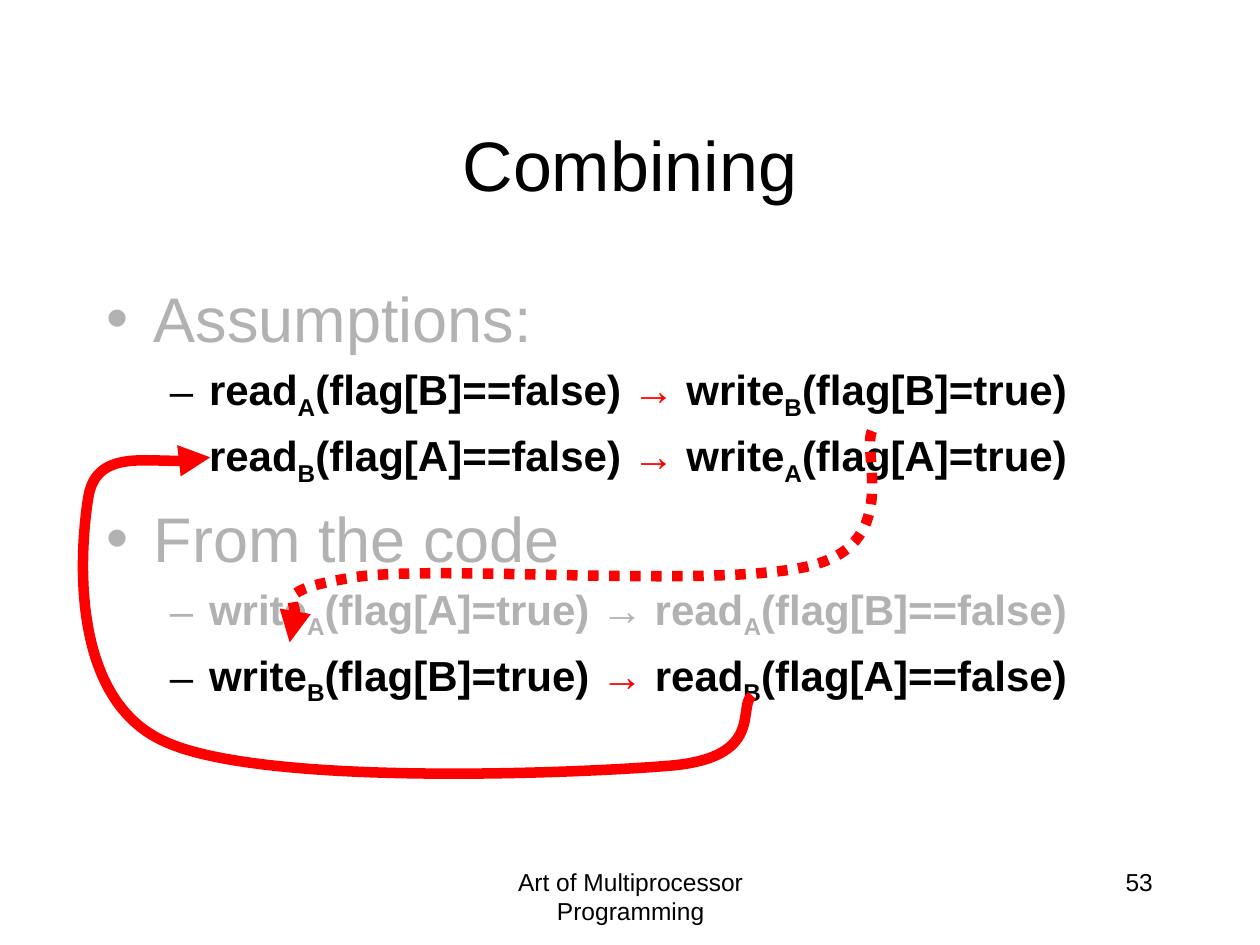
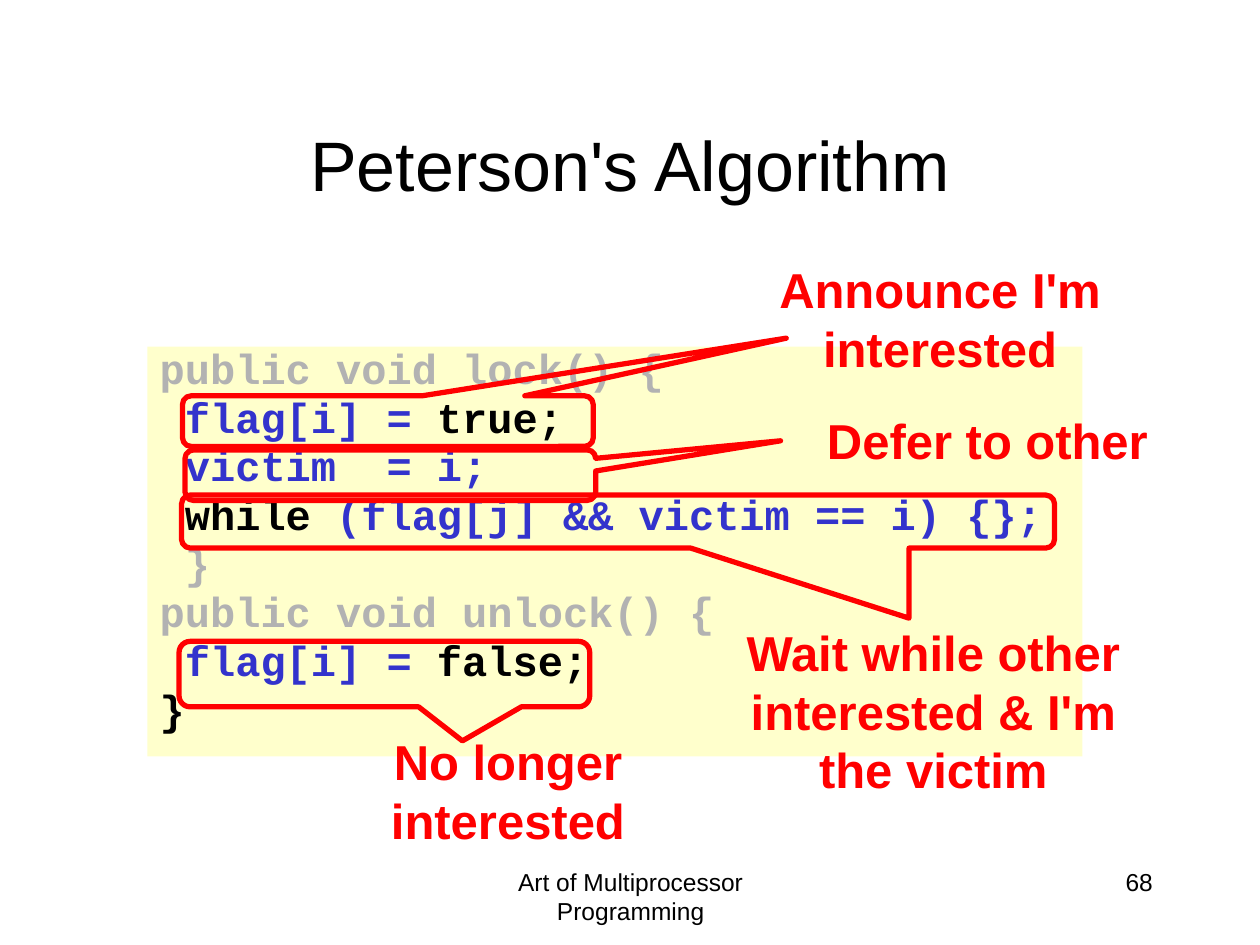
from dataclasses import dataclass
from typing import Any, NamedTuple, Optional

from pptx import Presentation
from pptx.dml.color import RGBColor
from pptx.enum.dml import MSO_LINE
from pptx.enum.shapes import MSO_SHAPE
from pptx.enum.text import MSO_ANCHOR, MSO_AUTO_SIZE, PP_ALIGN
from pptx.oxml.ns import qn
from pptx.oxml.xmlchemy import OxmlElement
from pptx.util import Cm, Pt

BLACK = RGBColor(0x00, 0x00, 0x00)
GRAY = RGBColor(0xB2, 0xB2, 0xB2)
RED = RGBColor(0xFF, 0x00, 0x00)
BLUE = RGBColor(0x33, 0x33, 0xCC)
CREAM = RGBColor(0xFF, 0xFF, 0xCC)

SANS, MONO = "Arial", "Courier New"
TITLE = {"name": SANS, "size": Pt(40)}
FOOTER = {"name": SANS, "size": Pt(14)}
HEADING = {"name": SANS, "size": Pt(36), "bold": False}
EVENT = {"name": SANS, "size": Pt(24), "bold": True}
LABEL = {"name": SANS, "size": Pt(28), "bold": True}
CODE = {"name": MONO, "size": Pt(24), "bold": True}


class Box(NamedTuple):
    left: float
    top: float
    width: float
    height: float

    def emu(self) -> list:
        return [Cm(v) for v in self]


class Run(NamedTuple):
    text: str
    color: RGBColor = BLACK
    subscript: bool = False


class Event(NamedTuple):
    action: str
    thread: str
    condition: str

    def runs(self, color: RGBColor) -> list[Run]:
        return [Run(self.action, color), Run(self.thread, color, True),
                Run(f"({self.condition})", color)]


class Order(NamedTuple):
    before: Event
    after: Event
    color: RGBColor = BLACK
    arrow: RGBColor = RED

    def runs(self) -> list[Run]:
        return [*self.before.runs(self.color), Run(" → ", self.arrow),
                *self.after.runs(self.color)]


class Bullet(NamedTuple):
    char: str
    margin: float
    indent: float
    before: float
    font: dict


BULLETS = [Bullet("•", 0.95, -0.95, 7.2, HEADING), Bullet("–", 2.06, -0.79, 4.8, EVENT)]


@dataclass
class Curve:
    points: list[tuple[float, float]]
    dash: Optional[MSO_LINE] = None


@dataclass
class Callout:
    box: Box
    tip: tuple[float, float]


@dataclass
class Label:
    text: str
    box: Box


ASSUMPTIONS = [
    Order(Event("read", "A", "flag[B]==false"), Event("write", "B", "flag[B]=true")),
    Order(Event("read", "B", "flag[A]==false"), Event("write", "A", "flag[A]=true")),
]
FROM_CODE = [
    Order(Event("write", "A", "flag[A]=true"), Event("read", "A", "flag[B]==false"), GRAY, GRAY),
    Order(Event("write", "B", "flag[B]=true"), Event("read", "B", "flag[A]==false")),
]
CURVES = [
    Curve([(15.16, 14.02), (14.86, 14.25), (15.44, 15.29), (13.46, 15.44),
           (11.48, 15.6), (5.23, 15.85), (3.3, 14.94),
           (1.35, 14.05), (1.63, 10.97), (1.78, 10.03),
           (1.93, 9.07), (3.73, 9.4), (4.24, 9.22)]),
    Curve([(17.58, 8.69), (17.37, 9.12), (18.16, 10.9), (16.43, 11.38),
           (14.71, 11.89), (8.97, 11.38), (7.19, 11.63),
           (5.44, 11.91), (6.12, 12.67), (5.84, 12.95)], MSO_LINE.ROUND_DOT),
]
CODE_LINES = [
    [Run("public void lock() {", GRAY)],
    [Run(" flag[i] = ", BLUE), Run("true;")],
    [Run(" victim  = i;", BLUE)],
    [Run(" while "), Run("(flag[j] && victim == i) {};", BLUE)],
    [Run(" }", GRAY)],
    [Run("public void unlock() {", GRAY)],
    [Run(" flag[i] = ", BLUE), Run("false;")],
    [Run("}")],
]
CALLOUTS = [
    Callout(Box(3.68, 7.98, 8.28, 1.02), (0.97, -1.64)),
    Callout(Box(3.73, 9.07, 8.28, 1.02), (0.95, -0.68)),
    Callout(Box(3.61, 12.93, 8.28, 1.32), (0.19, 1.02)),
    Callout(Box(3.66, 9.98, 17.6, 1.07), (1 / 3, 1.82)),
]
LABELS = [
    Label("No longer interested", Box(6.48, 14.63, 7.52, 2.62)),
    Label("Announce I'm interested", Box(15.19, 5.11, 7.52, 2.62)),
    Label("Defer to other", Box(15.6, 8.15, 8.61, 1.45)),
    Label("Wait while other interested & I'm the victim", Box(14.05, 12.42, 9.53, 3.81)),
]


def set_all(target: Any, values: dict) -> None:
    for name, value in values.items():
        setattr(target, name, value)


def place(sp: Any, box: Box) -> None:
    set_all(sp, dict(zip(("left", "top", "width", "height"), box.emu())))


def write(p: Any, runs: list[Run], font: dict) -> None:
    for run in runs:
        r = p.add_run()
        r.text = run.text
        set_all(r.font, font)
        r.font.color.rgb = run.color
        if run.subscript:
            r.font._element.set("baseline", "-25000")


def next_paragraph(tf: Any, first: bool, before: float) -> Any:
    p = tf.paragraphs[0] if first else tf.add_paragraph()
    p.space_before = Pt(0 if first else before)
    return p


def set_indent(p: Any, margin: float, indent: float) -> Any:
    pPr = p._p.get_or_add_pPr()
    pPr.set("marL", str(Cm(margin)))
    pPr.set("indent", str(Cm(indent)))
    return pPr


def add_text(slide: Any, box: Box, text: str, font: dict, color: RGBColor, align: PP_ALIGN) -> None:
    tf = slide.shapes.add_textbox(*box.emu()).text_frame
    tf.word_wrap = True
    p = tf.paragraphs[0]
    p.alignment = align
    write(p, [Run(text, color)], font)


def add_slide(prs: Any, layout: int, title: str, number: int) -> Any:
    slide = prs.slides.add_slide(prs.slide_layouts[layout])
    sp = slide.shapes.title
    place(sp, Box(1.9, 1.7, 21.59, 3.18))
    set_all(sp.text_frame, {"vertical_anchor": MSO_ANCHOR.MIDDLE, "auto_size": MSO_AUTO_SIZE.NONE})
    p = sp.text_frame.paragraphs[0]
    p.alignment = PP_ALIGN.CENTER
    write(p, [Run(title)], TITLE)
    add_text(slide, Box(8.69, 17.35, 8.05, 1.27), "Art of Multiprocessor Programming",
             FOOTER, BLACK, PP_ALIGN.CENTER)
    add_text(slide, Box(18.21, 17.35, 5.28, 1.27), str(number), FOOTER, BLACK, PP_ALIGN.RIGHT)
    return slide


def fill_body(slide: Any, items: list[tuple[int, list[Run]]]) -> None:
    sp = slide.placeholders[1]
    place(sp, Box(1.9, 5.51, 21.59, 11.43))
    tf = sp.text_frame
    set_all(tf, {"auto_size": MSO_AUTO_SIZE.NONE, "margin_top": Cm(0.13)})
    for i, (level, runs) in enumerate(items):
        bullet = BULLETS[level]
        p = next_paragraph(tf, i == 0, bullet.before)
        p.level = level
        bu = OxmlElement("a:buChar")
        bu.set("char", bullet.char)
        set_indent(p, bullet.margin, bullet.indent).append(bu)
        write(p, runs, bullet.font)


def add_curve(slide: Any, curve: Curve) -> None:
    points = [(Cm(x), Cm(y)) for x, y in curve.points]
    builder = slide.shapes.build_freeform(*points[0])
    builder.add_line_segments(points[1:], close=False)
    sp = builder.convert_to_shape()
    sp.shadow.inherit = False
    sp.fill.background()
    sp.line.color.rgb = RED
    sp.line.width = Pt(6)
    if curve.dash:
        sp.line.dash_style = curve.dash
    spPr = sp._element.spPr
    tail = OxmlElement("a:tailEnd")
    tail.set("type", "triangle")
    spPr.find(qn("a:ln")).append(tail)
    lines = list(spPr.iter(qn("a:lnTo")))
    outline = lines[0].getparent()
    for i in range(0, len(lines), 3):
        bezier = OxmlElement("a:cubicBezTo")
        for line in lines[i:i + 3]:
            bezier.append(line[0])
            outline.remove(line)
        outline.append(bezier)


def add_code(slide: Any, box: Box, lines: list[list[Run]]) -> None:
    sp = slide.shapes.add_shape(MSO_SHAPE.RECTANGLE, *box.emu())
    sp.shadow.inherit = False
    sp.fill.solid()
    sp.fill.fore_color.rgb = CREAM
    sp.line.fill.background()
    tf = sp.text_frame
    set_all(tf, {"word_wrap": True, "vertical_anchor": MSO_ANCHOR.TOP, "margin_top": Cm(0.11)})
    for i, runs in enumerate(lines):
        p = next_paragraph(tf, i == 0, 4.8)
        set_all(p, {"alignment": PP_ALIGN.LEFT, "line_spacing": 0.8})
        set_indent(p, 0.64, -0.64)
        write(p, runs, CODE)


def add_callout(slide: Any, callout: Callout) -> None:
    sp = slide.shapes.add_shape(MSO_SHAPE.ROUNDED_RECTANGULAR_CALLOUT, *callout.box.emu())
    sp.shadow.inherit = False
    for i, value in enumerate((*callout.tip, 0.17)):
        sp.adjustments[i] = value
    sp.fill.background()
    sp.line.color.rgb = RED
    sp.line.width = Pt(3)


def main() -> None:
    prs = Presentation()
    prs.slide_width, prs.slide_height = Cm(25.4), Cm(19.05)

    slide = add_slide(prs, 1, "Combining", 53)
    items = []
    for heading, orders in (("Assumptions:", ASSUMPTIONS), ("From the code", FROM_CODE)):
        items.append((0, [Run(heading, GRAY)]))
        items.extend((1, order.runs()) for order in orders)
    fill_body(slide, items)
    for curve in CURVES:
        add_curve(slide, curve)

    slide = add_slide(prs, 5, "Peterson's Algorithm", 68)
    add_code(slide, Box(2.97, 6.99, 18.85, 8.26), CODE_LINES)
    for callout in CALLOUTS:
        add_callout(slide, callout)
    for label in LABELS:
        add_text(slide, label.box, label.text, LABEL, RED, PP_ALIGN.CENTER)

    prs.save("out.pptx")


if __name__ == "__main__":
    main()
